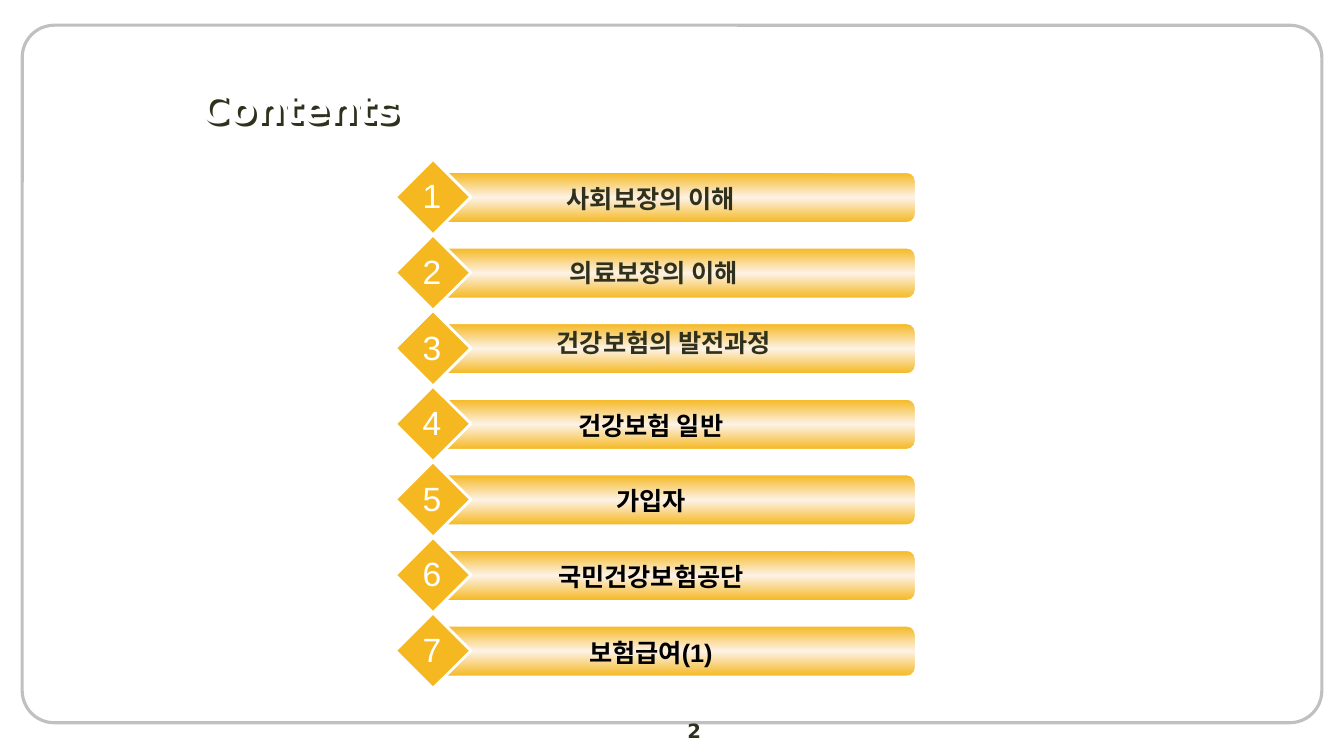
from copy import deepcopy
from dataclasses import dataclass

from pptx import Presentation
from pptx.dml.color import RGBColor
from pptx.enum.shapes import MSO_SHAPE
from pptx.enum.text import MSO_ANCHOR, PP_ALIGN
from pptx.oxml import parse_xml
from pptx.oxml.ns import nsdecls
from pptx.shapes.autoshape import Shape
from pptx.slide import Slide
from pptx.util import Emu, Pt

EMU_PER_PX = 9144
COLORS = {
    "white": "FFFFFF",
    "black": "000000",
    "olive": "30311D",
    "amber": "F5B821",
    "cream": "FDF2E6",
    "silver": "C0C0C0",
}
KOREAN_FONT = "Noto Sans CJK KR"
FIRST_ROW_TOP = 158
ROW_PITCH = 75


@dataclass(frozen=True)
class Box:
    left: int
    top: int
    width: int
    height: int

    def emu(self) -> tuple[Emu, ...]:
        lengths = (self.left, self.top, self.width, self.height)
        return tuple(Emu(length * EMU_PER_PX) for length in lengths)


@dataclass(frozen=True)
class Topic:
    label: str
    color: str = "black"
    font: str = "Arial"
    left: int = 458
    drop: int = 19


TOPICS = (
    Topic("사회보장의 이해", "olive"),
    Topic("의료보장의 이해", "olive", left=461, drop=17),
    Topic("건강보험의 발전과정", "olive", KOREAN_FONT, left=471, drop=12),
    Topic("건강보험 일반"),
    Topic("가입자"),
    Topic("국민건강보험공단"),
    Topic("보험급여(1)"),
)


def rgb(name: str) -> RGBColor:
    return RGBColor.from_string(COLORS[name])


def add_outlined(slide: Slide, kind: MSO_SHAPE, box: Box, line: str, weight: float) -> Shape:
    outlined = slide.shapes.add_shape(kind, *box.emu())
    outlined.shadow.inherit = False
    outlined.fill.background()
    outlined.line.color.rgb = rgb(line)
    outlined.line.width = Pt(weight)
    return outlined


def fill_with_sheen(bar: Shape) -> None:
    bar.fill.gradient()
    bar.fill.gradient_angle = 90
    first = bar.fill._fill._gradFill.gsLst[0]
    first.addnext(deepcopy(first))
    sheen = ((0, "amber"), (0.5, "cream"), (1, "amber"))
    for stop, (position, color) in zip(bar.fill.gradient_stops, sheen):
        stop.position = position
        stop.color.rgb = rgb(color)


def cast_shadow(heading: Shape, color: str) -> None:
    heading.shadow.inherit = False
    heading._element.spPr.find("{*}effectLst").append(parse_xml(
        f'<a:outerShdw {nsdecls("a")} dist="35921" dir="2700000" algn="ctr" rotWithShape="0">'
        f'<a:srgbClr val="{COLORS[color]}"/></a:outerShdw>'
    ))


def add_text(slide: Slide, text: str, box: Box, *, size: int, color: str,
             font: str = "Arial", bold: bool = False, wrap: bool = True,
             align: PP_ALIGN = PP_ALIGN.CENTER,
             anchor: MSO_ANCHOR = MSO_ANCHOR.TOP) -> Shape:
    holder = slide.shapes.add_textbox(*box.emu())
    frame = holder.text_frame
    frame.word_wrap = wrap
    frame.vertical_anchor = anchor
    paragraph = frame.paragraphs[0]
    paragraph.alignment = align
    run = paragraph.add_run()
    run.text = text
    run.font.size = Pt(size)
    run.font.bold = bold
    run.font.color.rgb = rgb(color)
    run.font.name = font
    east_asian = parse_xml(f'<a:ea {nsdecls("a")} typeface="{KOREAN_FONT}"/>')
    run.font._element.find("{*}latin").addnext(east_asian)
    return holder


def add_topic(slide: Slide, number: int, topic: Topic) -> None:
    top = FIRST_ROW_TOP + (number - 1) * ROW_PITCH
    bar = add_outlined(slide, MSO_SHAPE.ROUNDED_RECTANGLE,
                       Box(433, top + 13, 475, 50), "white", 1)
    fill_with_sheen(bar)
    diamond = add_outlined(slide, MSO_SHAPE.DIAMOND,
                           Box(392, top, 75, 75), "white", 2)
    diamond.fill.solid()
    diamond.fill.fore_color.rgb = rgb("amber")
    add_text(slide, topic.label, Box(topic.left, top + topic.drop, 375, 40),
             size=18, color=topic.color, font=topic.font, bold=True)
    add_text(slide, str(number), Box(409, top + 11, 39, 50),
             size=24, color="white", wrap=False)


def main() -> None:
    presentation = Presentation()
    presentation.slide_width = Emu(1333 * EMU_PER_PX)
    presentation.slide_height = Emu(750 * EMU_PER_PX)
    slide = presentation.slides.add_slide(presentation.slide_layouts[6])

    border = add_outlined(slide, MSO_SHAPE.ROUNDED_RECTANGLE,
                          Box(22, 25, 1289, 692), "silver", 2.25)
    border.adjustments[0] = 0.046
    add_text(slide, "2", Box(533, 708, 311, 27), size=14, color="olive",
             font="DejaVu Sans", bold=True)
    heading = add_text(slide, "Contents", Box(189, 78, 1067, 58), size=28,
                       color="white", font="DejaVu Sans", bold=True,
                       align=PP_ALIGN.LEFT, anchor=MSO_ANCHOR.MIDDLE)
    cast_shadow(heading, "olive")
    for number, topic in enumerate(TOPICS, start=1):
        add_topic(slide, number, topic)
    presentation.save("out.pptx")


if __name__ == "__main__":
    main()
